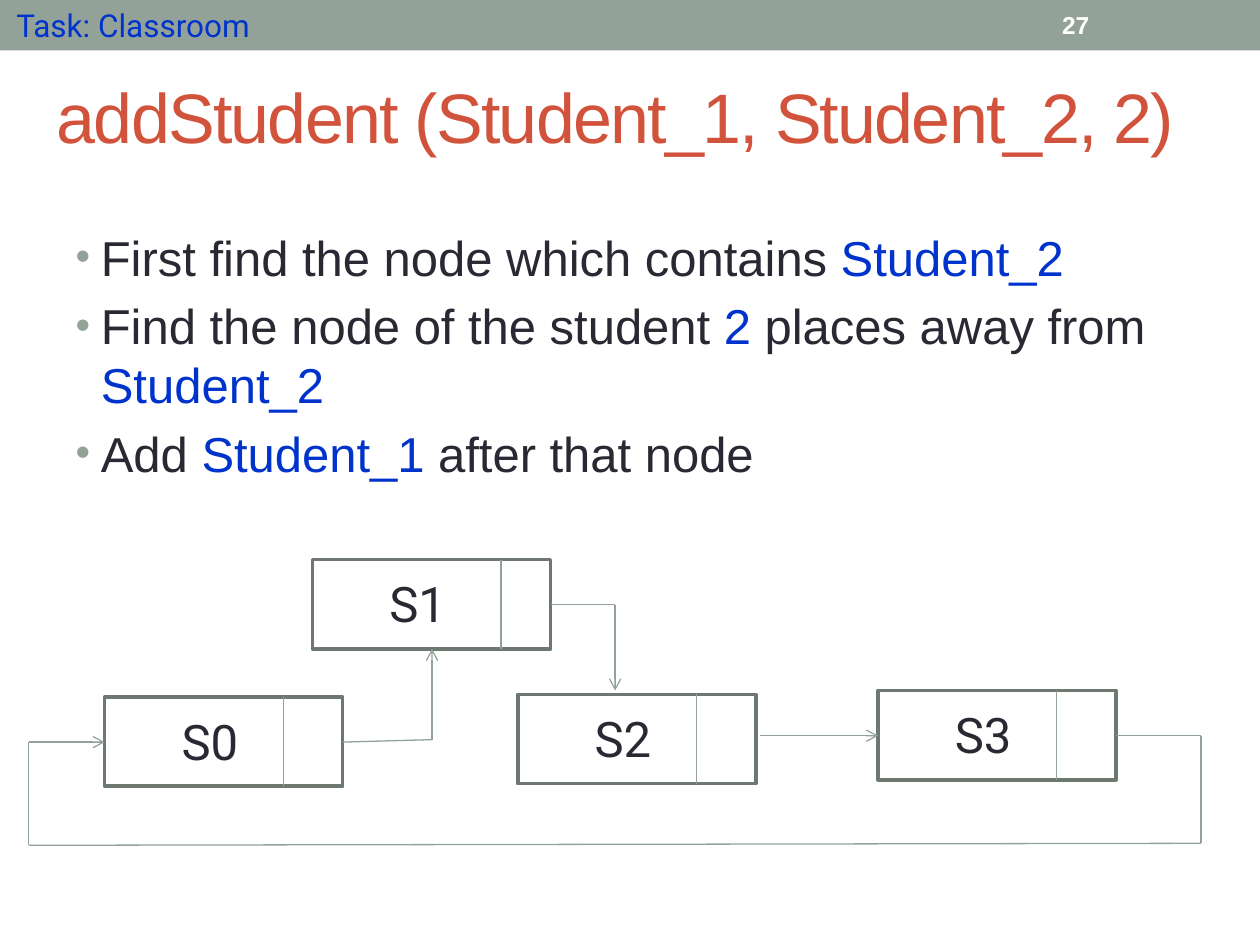
"""Build the slide on adding a student to a circular linked list."""
from dataclasses import dataclass
from itertools import pairwise

from lxml import etree
from pptx import Presentation
from pptx.dml.color import RGBColor
from pptx.enum.shapes import MSO_CONNECTOR, MSO_SHAPE
from pptx.enum.text import MSO_ANCHOR, MSO_AUTO_SIZE, PP_ALIGN
from pptx.oxml.ns import qn
from pptx.util import Cm, Pt

STRAIGHT = MSO_CONNECTOR.STRAIGHT
RECTANGLE = MSO_SHAPE.RECTANGLE
MIDDLE, TOP = MSO_ANCHOR.MIDDLE, MSO_ANCHOR.TOP
NO_FIT = MSO_AUTO_SIZE.NONE
LEFT = PP_ALIGN.LEFT


@dataclass(frozen=True)
class Theme:
    """Colours, fonts and sizes of the slide."""
    bar: str = "93A299"
    title: str = "D2533C"
    text: str = "292934"
    accent: str = "0033CC"
    outline: str = "6D7871"
    white: str = "FFFFFF"
    font: str = "Arial"
    label_font: str = "Roboto"
    title_size: int = 40
    body_size: int = 28
    task_size: int = 18
    number_size: int = 14
    outline_width: float = 2.08
    line_width: float = 0.75


class SlideBuilder:
    """Hold the theme and the current slide, and draw each kind of element."""

    def __init__(self, page, theme):
        self.page, self.theme = page, theme

    def set_frame(self, box, frame, anchor):
        """Place a text shape and prepare its text frame."""
        for name, value in zip(("left", "top", "width", "height"), frame):
            setattr(box, name, Cm(value))
        formats = {"word_wrap": True, "auto_size": NO_FIT, "vertical_anchor": anchor}
        for name, value in formats.items():
            setattr(box.text_frame, name, value)

    def add_span(self, para, text, color, size, font, bold=False):
        """Add a formatted run to a paragraph."""
        span = para.add_run()
        span.text = text
        for name, value in {"name": font, "size": Pt(size), "bold": bold}.items():
            setattr(span.font, name, value)
        span.font.color.rgb = RGBColor.from_string(color)
        return span

    def add_title(self, text, frame):
        """Fill the title placeholder."""
        box = self.page.shapes.title
        self.set_frame(box, frame, MIDDLE)
        para = box.text_frame.paragraphs[0]
        para.alignment = LEFT
        span = self.add_span(para, text, self.theme.title, self.theme.title_size, self.theme.font)
        span.font._element.set("spc", "-100")

    def add_bullets(self, items, frame):
        """Fill the body placeholder, with every second span of an item accented."""
        box = self.page.placeholders[1]
        self.set_frame(box, frame, TOP)
        for index, spans in enumerate(items):
            para = box.text_frame.add_paragraph() if index else box.text_frame.paragraphs[0]
            self.add_bullet(para)
            for position, text in enumerate(spans):
                color = self.theme.accent if position % 2 else self.theme.text
                self.add_span(para, text, color, self.theme.body_size, self.theme.font)

    def add_bullet(self, para):
        """Give a paragraph its hanging indent and coloured bullet."""
        properties = para._p.get_or_add_pPr()
        for name, value in {"marL": Cm(0.51), "indent": Cm(-0.51)}.items():
            properties.set(name, str(value))
        color = etree.SubElement(properties, qn("a:buClr"))
        etree.SubElement(color, qn("a:srgbClr"), val=self.theme.bar)
        etree.SubElement(properties, qn("a:buSzPct"), val="85000")
        etree.SubElement(properties, qn("a:buFont"), typeface=self.theme.font)
        etree.SubElement(properties, qn("a:buChar"), char="•")

    def add_text(self, text, frame, color, size, font, bold=False, anchor=TOP):
        """Add a one-line text box."""
        box = self.page.shapes.add_textbox(*map(Cm, frame))
        self.set_frame(box, frame, anchor)
        self.add_span(box.text_frame.paragraphs[0], text, color, size, font, bold)

    def add_rectangle(self, frame, fill=None, outline=None):
        """Add a rectangle that is either filled or outlined."""
        box = self.page.shapes.add_shape(RECTANGLE, *map(Cm, frame))
        box.shadow.inherit = False
        if fill:
            box.fill.solid()
            box.fill.fore_color.rgb = RGBColor.from_string(fill)
        else:
            box.fill.background()
        if outline:
            box.line.color.rgb = RGBColor.from_string(outline)
            box.line.width = Pt(self.theme.outline_width)
        else:
            box.line.fill.background()

    def add_path(self, points, arrow=True):
        """Join points with straight lines, the last one ending in an arrow."""
        for start, end in pairwise(points):
            line = self.page.shapes.add_connector(STRAIGHT, *map(Cm, start + end))
            line.line.color.rgb = RGBColor.from_string(self.theme.bar)
            line.line.width = Pt(self.theme.line_width)
            etree.SubElement(line._element.spPr, qn("a:effectLst"))
        if arrow:
            etree.SubElement(line.line._get_or_add_ln(), qn("a:tailEnd"), type="arrow")

    def add_node(self, label, left, top, divider):
        """Add a list node with its label and pointer cell."""
        width, height = 4.8, 1.8
        self.add_rectangle((left, top, width, height), outline=self.theme.outline)
        self.add_path([(left + divider, top), (left + divider, top + height)], arrow=False)
        self.add_text(label, (left + 1.3, top + 0.16, 2.24, 1.45), self.theme.text,
                      self.theme.body_size, self.theme.label_font)


BULLETS = [
    ("First find the node which contains ", "Student_2"),
    ("Find the node of the student ", "2", " places away from ", "Student_2"),
    ("Add ", "Student_1", " after that node"),
]
NODES = [
    ("S0", 2.11, 14.05, 3.6),
    ("S2", 10.44, 14, 3.6),
    ("S3", 17.7, 13.92, 3.6),
    ("S1", 6.3, 11.28, 3.8),
]
PATHS = [
    [(15.32, 14.83), (17.7, 14.83)],
    [(22.5, 14.83), (24.21, 14.83), (24.21, 17), (0.58, 17.04), (0.58, 14.96), (2.11, 14.96)],
    [(6.91, 14.96), (8.71, 14.91), (8.71, 13.08)],
    [(11.1, 12.19), (12.4, 12.19), (12.4, 13.92)],
]


def main():
    """Build and save the deck."""
    deck = Presentation()
    deck.slide_width, deck.slide_height = Cm(25.4), Cm(19.05)
    theme = Theme()
    builder = SlideBuilder(deck.slides.add_slide(deck.slide_layouts[1]), theme)
    builder.add_rectangle((0, 0, 25.4, 1.02), fill=theme.bar)
    builder.add_title("addStudent (Student_1, Student_2, 2)", (0.89, 0.74, 24.13, 3.18))
    builder.add_bullets(BULLETS, (1.27, 4.45, 22.86, 13.54))
    builder.add_text("27", (21.16, 0.05, 2.97, 0.91), theme.white, theme.number_size,
                     theme.font, bold=True, anchor=MIDDLE)
    for node in NODES:
        builder.add_node(*node)
    for points in PATHS:
        builder.add_path(points)
    builder.add_text("Task: Classroom", (0.08, 0, 7.01, 1.02), theme.accent,
                     theme.task_size, theme.label_font)
    deck.save("out.pptx")


if __name__ == "__main__":
    main()
